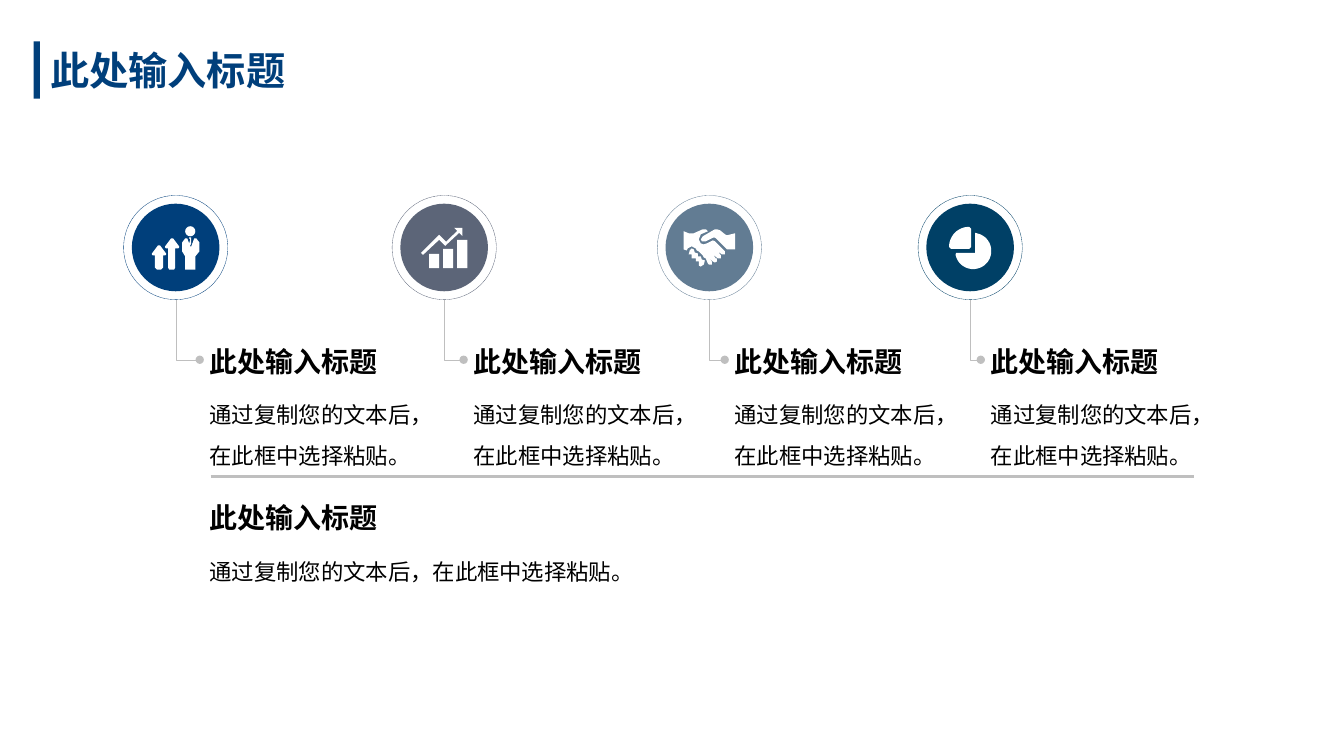
import math
from dataclasses import dataclass

import pptx
import pptx.dml.color
import pptx.enum.dml
import pptx.enum.shapes
import pptx.enum.text
import pptx.oxml
import pptx.oxml.ns
import pptx.util

Pt = pptx.util.Pt
RGB = pptx.dml.color.RGBColor.from_string
SHAPE = pptx.enum.shapes.MSO_SHAPE
CONNECTOR = pptx.enum.shapes.MSO_CONNECTOR
ANCHOR = pptx.enum.text.MSO_ANCHOR


@dataclass(frozen=True)
class Theme:
    font: str = "Arial"
    title: int = 28
    heading: int = 20
    body: int = 16
    navy: str = "003F7B"
    slate: str = "5C6578"
    steel: str = "627C93"
    teal: str = "004066"
    grey: str = "BFBFBF"
    black: str = "000000"
    white: str = "FFFFFF"


T = Theme()
HEADING = "此处输入标题"
BODY = "通过复制您的文本后，在此框中选择粘贴。"


def arc(x, y, radius, start, end):
    """Points along a circle, angles in degrees clockwise from the right."""
    angles = [math.radians(start + (end - start) * i / 24) for i in range(25)]
    return [(x + radius * math.cos(a), y + radius * math.sin(a)) for a in angles]


def write(sp, text, size, color, bold=False, anchor=ANCHOR.TOP, spacing=1.0):
    tf = sp.text_frame
    tf.word_wrap = True
    tf.auto_size = pptx.enum.text.MSO_AUTO_SIZE.NONE
    tf.vertical_anchor = anchor
    p = tf.paragraphs[0]
    p.alignment = pptx.enum.text.PP_ALIGN.LEFT
    p.line_spacing = spacing
    r = p.add_run()
    r.text = text
    r.font.name = T.font
    r.font.size = Pt(size)
    r.font.bold = bold
    r.font.color.rgb = RGB(color)


# Icon outlines, in units of 0.72 pt from the icon's top left corner
growth_icon = [
    [(7, 19), (8, 19), (14, 27), (14, 28), (13, 29), (11, 29), (11, 41), (9, 43),
     (5, 43), (3, 41), (3, 29), (1, 29), (0, 28), (0, 27), (6, 19)],
    [(20, 12), (21, 12), (27, 20), (27, 21), (26, 22), (23, 22), (23, 41), (22, 43),
     (17, 43), (16, 41), (16, 22), (14, 22), (13, 21), (13, 20), (19, 12)],
    [(34, 12), (35, 12), (38, 20), (39, 20), (42, 12), (44, 12), (47, 16), (47, 25),
     (43, 30), (43, 43), (33, 43), (33, 30), (30, 25), (30, 16), (33, 12)],
    [(37, 11), (39, 11), (39, 17), (38, 19), (37, 17), (38, 13), (37, 12)],
    arc(38, 5, 5, 0, 360),
]
chart_icon = [
    [(24, 18), (18, 12), (2, 27), (0, 25), (18, 7), (25, 14), (36, 3), (33, 0),
     (41, 0), (41, 8), (38, 5)],
]
for x, y in [(8, 26), (22, 21), (36, 12)]:
    chart_icon.append([(x, y), (x + 10, y), (x + 10, 40), (x, 40)])
handshake_icon = [
    [(51, 5), (51, 21), (47, 21), (43, 21), (32, 10), (30, 9), (28, 10), (22, 13),
     (18, 13), (17, 11), (19, 8), (31, 1), (33, 1), (36, 2), (41, 6), (43, 7)],
    [(18, 31), (17, 28), (14, 28), (14, 25), (11, 24), (10, 21), (8, 20), (6, 22),
     (5, 26), (8, 26), (8, 30), (12, 30), (12, 33), (15, 33), (15, 37), (17, 38),
     (20, 36), (21, 32)],
    [(41, 23), (31, 13), (29, 12), (27, 13), (23, 15), (20, 16), (17, 15), (15, 11),
     (17, 6), (24, 3), (22, 1), (19, 1), (10, 5), (5, 5), (0, 3), (0, 21), (3, 22),
     (4, 20), (8, 18), (12, 20), (13, 22), (15, 23), (17, 25), (19, 27), (20, 29),
     (22, 30), (24, 35), (25, 36), (28, 36), (28, 33), (25, 29), (29, 33), (31, 34),
     (33, 33), (33, 30), (32, 30), (29, 26), (34, 30), (37, 30), (37, 27), (34, 23),
     (38, 26), (41, 26)],
]
pie_icon = [
    arc(24, 24, 18, -77, 167) + [(7, 26), (8, 26), (26, 26), (26, 8), (26, 6)],
    arc(20, 20, 20, 180, 270) + [(22, 2), (22, 20), (20, 22), (2, 22)],
]

prs = pptx.Presentation()
prs.slide_width, prs.slide_height = Pt(960), Pt(540)
s = prs.slides.add_slide(prs.slide_layouts[5])

title = s.shapes.title
title.left, title.top, title.width, title.height = Pt(28.8), Pt(29.5), Pt(191.5), Pt(41)
write(title, HEADING, T.title, T.navy, True, ANCHOR.MIDDLE)

bar = s.shapes.add_shape(SHAPE.RECTANGLE, Pt(24), Pt(29.5), Pt(4.6), Pt(41))
bar.shadow.inherit = False
bar.fill.solid()
bar.fill.fore_color.rgb = RGB(T.navy)
bar.line.fill.background()

# Circle centre, text left edge, colour, icon
columns = [
    (125.5, 142.6, T.navy, growth_icon),
    (317.3, 331.2, T.slate, chart_icon),
    (506.7, 517.7, T.steel, handshake_icon),
    (693, 700.6, T.teal, pie_icon),
]
center_y, elbow_top, elbow_bottom = 176.8, 214.2, 257
lines = []
for center_x, text_x, color, outlines in columns:
    for size in (62.6, 74.4):
        circle = s.shapes.add_shape(SHAPE.OVAL, Pt(center_x - size / 2),
                                    Pt(center_y - size / 2), Pt(size), Pt(size))
        circle.shadow.inherit = False
        if size < 70:
            circle.fill.solid()
            circle.fill.fore_color.rgb = RGB(color)
            circle.line.fill.background()
        else:
            circle.fill.background()
            circle.line.color.rgb = RGB(color)
            circle.line.width = Pt(0.25)
            circle.line.dash_style = pptx.enum.dml.MSO_LINE.SQUARE_DOT

    builder = s.shapes.build_freeform(scale=Pt(0.72) / 10)
    for i, outline in enumerate(outlines):
        points = [(round(x * 10), round(y * 10)) for x, y in outline]
        if i == 0:
            builder = s.shapes.build_freeform(*points[0], scale=Pt(0.72) / 10)
        else:
            builder.move_to(*points[0])
        builder.add_line_segments(points[1:], close=True)
    icon = builder.convert_to_shape()
    icon.left = Pt(center_x) - icon.width // 2
    icon.top = Pt(center_y + 0.3) - icon.height // 2
    icon.shadow.inherit = False
    icon.fill.solid()
    icon.fill.fore_color.rgb = RGB(T.white)
    icon.line.fill.background()

    # A one-bend connector is stored as a box turned by 270 degrees
    drop, reach = elbow_bottom - elbow_top, text_x - center_x
    left = (center_x + text_x - drop) / 2
    top = (elbow_top + elbow_bottom - reach) / 2
    elbow = s.shapes.add_connector(CONNECTOR.ELBOW, Pt(left), Pt(top),
                                   Pt(left + drop), Pt(top + reach))
    sp_pr = elbow._element.spPr
    sp_pr.find(pptx.oxml.ns.qn("a:prstGeom")).set("prst", "bentConnector2")
    xfrm = sp_pr.find(pptx.oxml.ns.qn("a:xfrm"))
    xfrm.set("rot", "16200000")
    xfrm.set("flipH", "1")
    lines.append((elbow, 0.25))

    heading = s.shapes.add_textbox(Pt(text_x), Pt(239.8), Pt(167), Pt(33.8))
    write(heading, HEADING, T.heading, T.black, True, ANCHOR.BOTTOM, 1.2)
    body = s.shapes.add_textbox(Pt(text_x), Pt(273.6), Pt(167), Pt(47.5))
    write(body, BODY, T.body, T.black, spacing=1.5)

divider = s.shapes.add_connector(CONNECTOR.STRAIGHT, Pt(150.5), Pt(340.6), Pt(853.2), Pt(340.6))
lines.append((divider, 2.25))
for line, width in lines:
    line.line.color.rgb = RGB(T.grey)
    line.line.width = Pt(width)
    if line is not divider:
        tail = pptx.oxml.parse_xml(f'<a:tailEnd {pptx.oxml.ns.nsdecls("a")} type="oval"/>')
        line.line._get_or_add_ln().append(tail)
    line._element.spPr.append(
        pptx.oxml.parse_xml(f'<a:effectLst {pptx.oxml.ns.nsdecls("a")}/>'))

summary_heading = s.shapes.add_textbox(Pt(142.6), Pt(326.9), Pt(464.4), Pt(58.3))
write(summary_heading, HEADING, T.heading, T.black, True, ANCHOR.BOTTOM)
summary = s.shapes.add_textbox(Pt(142.6), Pt(385.2), Pt(464.4), Pt(51.8))
write(summary, BODY, T.body, T.black, spacing=1.5)

prs.save("out.pptx")
